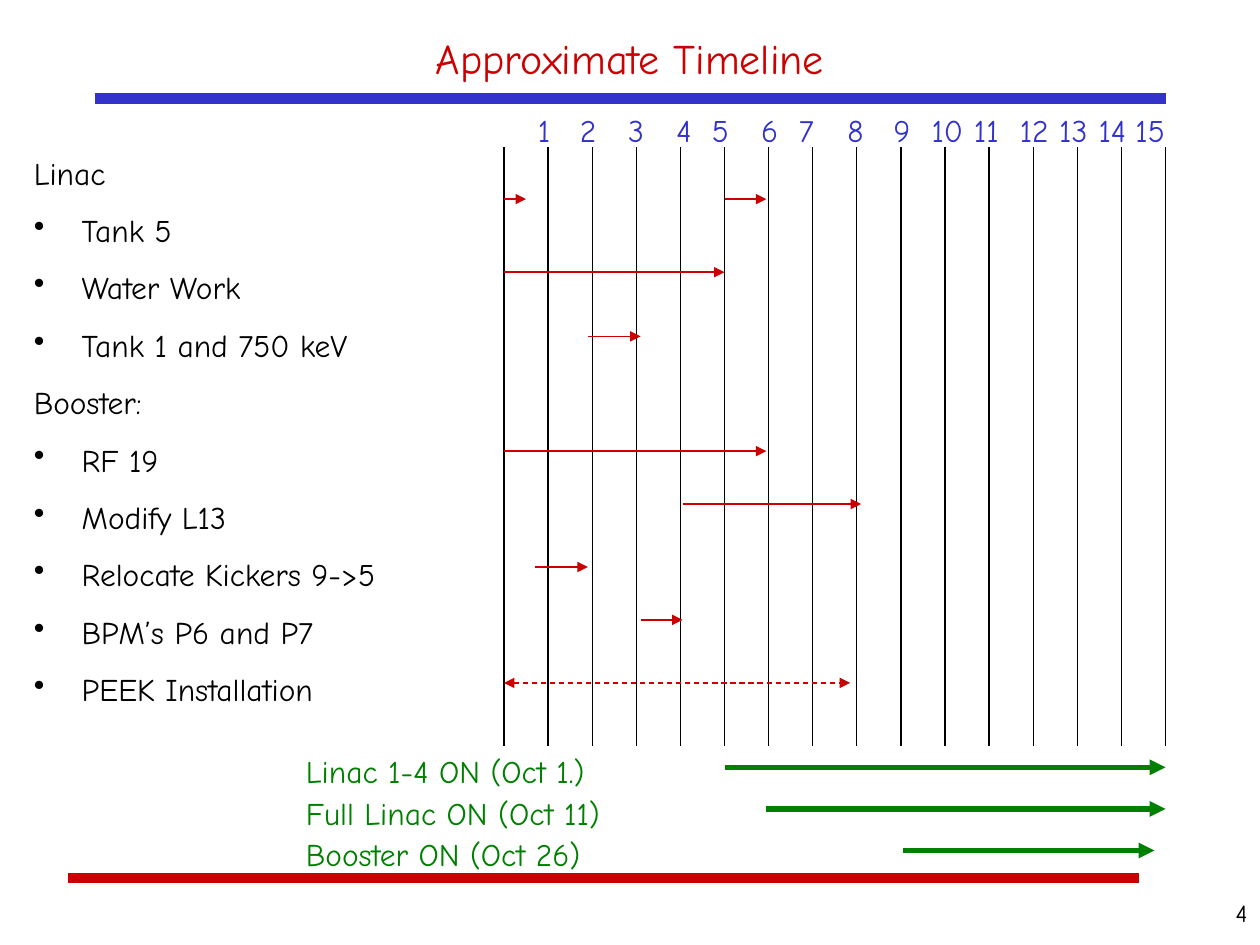
import pptx
import pptx.util
import pptx.dml.color
import pptx.enum.dml
import pptx.enum.shapes
import pptx.enum.text
from lxml import etree
from pptx.oxml.ns import qn

Inches = pptx.util.Inches
Align = pptx.enum.text.PP_ALIGN
Anchor = pptx.enum.text.MSO_ANCHOR

RED, BLUE, GREEN, BLACK = "CC0000", "3333CC", "008000", "000000"

TITLE = "Approximate Timeline"
PAGE = "4"
WEEK_CENTERS = [4.31, 4.67, 5.05, 5.43, 5.72, 6.11, 6.4, 6.79,
                7.16, 7.52, 7.83, 8.21, 8.52, 8.83, 9.13]
SYSTEMS = [
    ("Linac", [
        ("Tank 5", 1.58, [(0, 0.5), (5, 5.95)]),
        ("Water Work", 2.16, [(0, 5)]),
        ("Tank 1 and 750 keV", 2.67, [(1.9, 3.1)]),
    ]),
    ("Booster:", [
        ("RF 19", 3.58, [(0, 5.95)]),
        ("Modify L13", 4, [(4.05, 8.1)]),
        ("Relocate Kickers 9->5", 4.5, [(0.7, 1.9)]),
        ("BPM’s P6 and P7", 4.92, [(3.1, 4.05)]),
        ("PEEK Installation", 5.42, [(0, 7.85)]),
    ]),
]
TWO_WAY = "PEEK Installation"
MILESTONES = [
    ("Linac 1-4 ON (Oct 1.)", 5, 15),
    ("Full Linac ON (Oct 11)", 5.95, 15),
    ("Booster ON (Oct 26)", 9.05, 14.75),
]

GRID_LEFT, GRID_TOP, GRID_BOTTOM, WEEK = 4, 1.17, 5.92, 0.35
MILESTONE_TOP, MILESTONE_STEP = 5.92, 0.33
INSET, INDENT = 0.1, 0.38


def rgb(value):
    return pptx.dml.color.RGBColor.from_string(value)


def week_x(week):
    return GRID_LEFT + week * WEEK


def add_line(shapes, start, end, color, width, heads=(), dashed=False):
    line = shapes.add_connector(pptx.enum.shapes.MSO_CONNECTOR.STRAIGHT,
                                *map(Inches, (*start, *end)))
    line.line.color.rgb = rgb(color)
    line.line.width = pptx.util.Pt(width)
    if dashed:
        line.line.dash_style = pptx.enum.dml.MSO_LINE.DASH
    properties = line._element.spPr
    outline = properties.find(qn("a:ln"))
    for head in heads:
        etree.SubElement(outline, qn(f"a:{head}"), type="triangle")
    etree.SubElement(properties, qn("a:effectLst"))


def add_text(shapes, box, lines, color=BLACK, size=18, align=Align.LEFT,
             anchor=Anchor.TOP, tabs=()):
    frame = shapes.add_textbox(*map(Inches, box)).text_frame
    for name, value in {"word_wrap": True, "vertical_anchor": anchor}.items():
        setattr(frame, name, value)
    for index, (text, bulleted) in enumerate(lines):
        paragraph = frame.add_paragraph() if index else frame.paragraphs[0]
        paragraph.alignment = align
        if index:
            paragraph.space_before = pptx.util.Pt(11.2)
        properties = paragraph._p.get_or_add_pPr()
        if bulleted:
            properties.set("marL", str(Inches(INDENT)))
            properties.set("indent", str(-Inches(INDENT)))
            etree.SubElement(properties, qn("a:buChar"), char="•")
        if tabs:
            stops = etree.SubElement(properties, qn("a:tabLst"))
            for stop in tabs:
                etree.SubElement(stops, qn("a:tab"), pos=str(Inches(stop)), algn="ctr")
        run = paragraph.add_run()
        run.text = text
        for name, value in {"name": "Comic Neue", "size": pptx.util.Pt(size)}.items():
            setattr(run.font, name, value)
        run.font.color.rgb = rgb(color)


def main():
    deck = pptx.Presentation()
    deck.slide_width, deck.slide_height = Inches(10), Inches(7.5)
    shapes = deck.slides.add_slide(deck.slide_layouts[6]).shapes

    add_line(shapes, (0.54, 6.97), (9.04, 6.97), RED, 6)
    add_line(shapes, (0.75, 0.78), (9.25, 0.78), BLUE, 6)
    add_text(shapes, (0.75, 0.17, 8.5, 0.58), [(TITLE, False)], RED, 24,
             Align.CENTER, Anchor.MIDDLE)

    grid = shapes.add_group_shape().shapes
    for week in range(len(WEEK_CENTERS) + 1):
        x = week_x(week)
        add_line(grid, (x, GRID_TOP), (x, GRID_BOTTOM), BLACK, 0.75)

    weeks_left = 4.17
    week_tabs = [center - weeks_left - INSET for center in WEEK_CENTERS[1:]]
    week_numbers = "\t".join(str(n + 1) for n in range(len(WEEK_CENTERS)))
    add_text(shapes, (weeks_left, 0.83, 5.42, 0.4), [(week_numbers, False)],
             BLUE, tabs=week_tabs)

    work = []
    for system, tasks in SYSTEMS:
        work.append((system, False))
        work += [(task, True) for task, _, _ in tasks]
    add_text(shapes, (0.17, GRID_TOP, 3.5, 5.42), work)

    for _, tasks in SYSTEMS:
        for task, y, spans in tasks:
            two_way = task == TWO_WAY
            heads = ("headEnd", "tailEnd") if two_way else ("tailEnd",)
            for start, end in spans:
                add_line(shapes, (week_x(start), y), (week_x(end), y), RED, 0.75,
                         heads, two_way)

    for index, (milestone, start, end) in enumerate(MILESTONES):
        top = MILESTONE_TOP + index * MILESTONE_STEP
        y = top + 0.17
        add_text(shapes, (2.33, top, 2.92, 0.4), [(milestone, False)], GREEN)
        add_line(shapes, (week_x(start), y), (week_x(end), y), GREEN, 3, ("tailEnd",))

    add_text(shapes, (9.08, 7.08, 0.92, 0.42), [(PAGE, False)], size=14,
             align=Align.RIGHT)
    deck.save("out.pptx")


if __name__ == "__main__":
    main()
